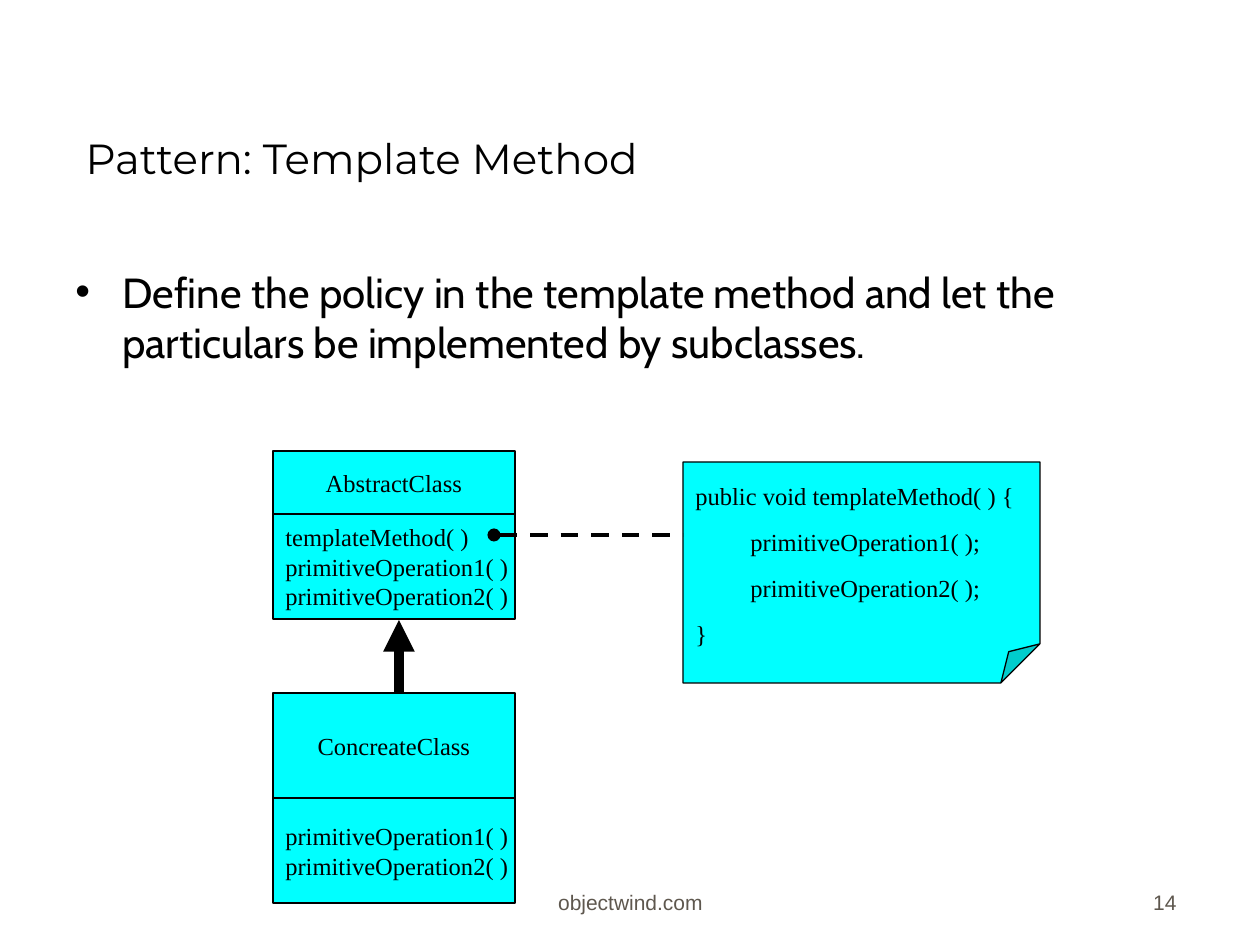
from lxml.etree import SubElement
from pptx import Presentation
from pptx.dml.color import RGBColor
from pptx.enum.dml import MSO_LINE
from pptx.enum.shapes import MSO_CONNECTOR, MSO_SHAPE
from pptx.enum.text import MSO_ANCHOR as ANCHOR, PP_ALIGN as ALIGN
from pptx.oxml.ns import qn
from pptx.util import Emu, Pt

PX = 914400 // 126
THEME = {
    "ink": RGBColor(0, 0, 0),
    "box": RGBColor(0x00, 0xFF, 0xFF),
    "title": {"name": "Montserrat", "size": Pt(24), "color": "000000"},
    "body": {"name": "Cabin", "size": Pt(24), "color": "000000"},
    "diagram": {"name": "Times New Roman", "size": Pt(14), "color": "000000"},
    "footer": {"name": "Arial", "size": Pt(12), "color": "5E574E"},
}

TITLE = "Pattern: Template Method"
POLICY = ("Define the policy in the template method and let the "
          "particulars be implemented by subclasses.")
CLASS_LEFT, CLASS_WIDTH = 273, 242
# Each class: top, name, name height, operations, operations height
CLASSES = [
    (451, "AbstractClass", 63,
     ["templateMethod( )", "primitiveOperation1( )", "primitiveOperation2( )"], 105),
    (693, "ConcreateClass", 105,
     ["primitiveOperation1( )", "primitiveOperation2( )"], 105),
]
NOTE = (683, 462, 357, 221)
NOTE_FOLD = 17700
NOTE_CODE = [
    "public void templateMethod( ) {",
    "         primitiveOperation1( );",
    "         primitiveOperation2( );",
    "}",
]
# Each connector: start, end, width, dash, end tag, end type
CONNECTORS = [
    ((399, 693), (399, 620), 6, None, "a:tailEnd", "triangle"),
    ((494, 535), (683, 535), 2.5, MSO_LINE.DASH, "a:headEnd", "oval"),
]
FOOTERS = [
    ((431, 858, 399, 63), "objectwind.com", ALIGN.CENTER),
    ((927, 858, 262, 63), "14", ALIGN.RIGHT),
]


def px(*lengths):
    return [Emu(length * PX) for length in lengths]


def write(shape, lines, style, align=ALIGN.LEFT, gap=0, **frame_format):
    frame = shape.text_frame
    frame_values = {"word_wrap": True, "vertical_anchor": ANCHOR.MIDDLE, **frame_format}
    for name, value in frame_values.items():
        setattr(frame, name, value)
    font_values = dict(THEME[style])
    color = RGBColor.from_string(font_values.pop("color"))
    for index, line in enumerate(lines):
        paragraph = frame.paragraphs[0] if index == 0 else frame.add_paragraph()
        paragraph.alignment = align
        paragraph.space_before = Pt(gap if index else 0)
        run = paragraph.add_run()
        run.text = line
        for name, value in font_values.items():
            setattr(run.font, name, value)
        run.font.color.rgb = color
    return frame


def add_box(slide, kind, bounds):
    shape = slide.shapes.add_shape(kind, *px(*bounds))
    shape.shadow.inherit = False
    shape.fill.solid()
    shape.fill.fore_color.rgb = THEME["box"]
    shape.line.color.rgb = THEME["ink"]
    shape.line.width = Pt(0.75)
    return shape


def add_class(slide, top, name, name_height, operations, operations_height):
    parts = [([name], name_height, ALIGN.CENTER),
             (operations, operations_height, ALIGN.LEFT)]
    for lines, height, align in parts:
        box = add_box(slide, MSO_SHAPE.RECTANGLE, (CLASS_LEFT, top, CLASS_WIDTH, height))
        write(box, lines, "diagram", align, word_wrap=False)
        top += height


def add_note(slide):
    note = add_box(slide, MSO_SHAPE.FOLDED_CORNER, NOTE)
    guides = note._element.spPr.find(qn("a:prstGeom")).find(qn("a:avLst"))
    SubElement(guides, qn("a:gd"), name="adj", fmla=f"val {NOTE_FOLD}")
    write(note, NOTE_CODE, "diagram", gap=9.4, word_wrap=False,
          vertical_anchor=ANCHOR.TOP, margin_top=Emu(19 * PX))


def add_line(slide, start, end, width, dash, end_tag, end_type):
    connector = slide.shapes.add_connector(MSO_CONNECTOR.STRAIGHT, *px(*start, *end))
    connector.line.color.rgb = THEME["ink"]
    connector.line.width = Pt(width)
    if dash:
        connector.line.dash_style = dash
    properties = connector._element.spPr
    SubElement(properties.find(qn("a:ln")), qn(end_tag), type=end_type)
    SubElement(properties, qn("a:effectLst"))


def add_bullet(paragraph, indent):
    properties = paragraph._p.get_or_add_pPr()
    properties.set("marL", str(indent))
    properties.set("indent", str(-indent))
    SubElement(properties, qn("a:buFont"), typeface="Arial")
    SubElement(properties, qn("a:buChar"), char="•")


def main():
    presentation = Presentation()
    presentation.slide_width, presentation.slide_height = px(1260, 945)
    slide = presentation.slides.add_slide(presentation.slide_layouts[5])

    title = slide.shapes.title
    title.left, title.top, title.width, title.height = px(73, 32, 1012, 157)
    write(title, [TITLE], "title", vertical_anchor=ANCHOR.BOTTOM)

    body = slide.shapes.add_textbox(*px(63, 260, 1126, 575))
    frame = write(body, [POLICY], "body", vertical_anchor=ANCHOR.TOP)
    add_bullet(frame.paragraphs[0], Emu(47 * PX))

    for class_parts in CLASSES:
        add_class(slide, *class_parts)
    add_note(slide)
    for connector in CONNECTORS:
        add_line(slide, *connector)

    for bounds, text, align in FOOTERS:
        footer = slide.shapes.add_textbox(*px(*bounds))
        write(footer, [text], "footer", align, vertical_anchor=ANCHOR.BOTTOM)

    presentation.save("out.pptx")


if __name__ == "__main__":
    main()
